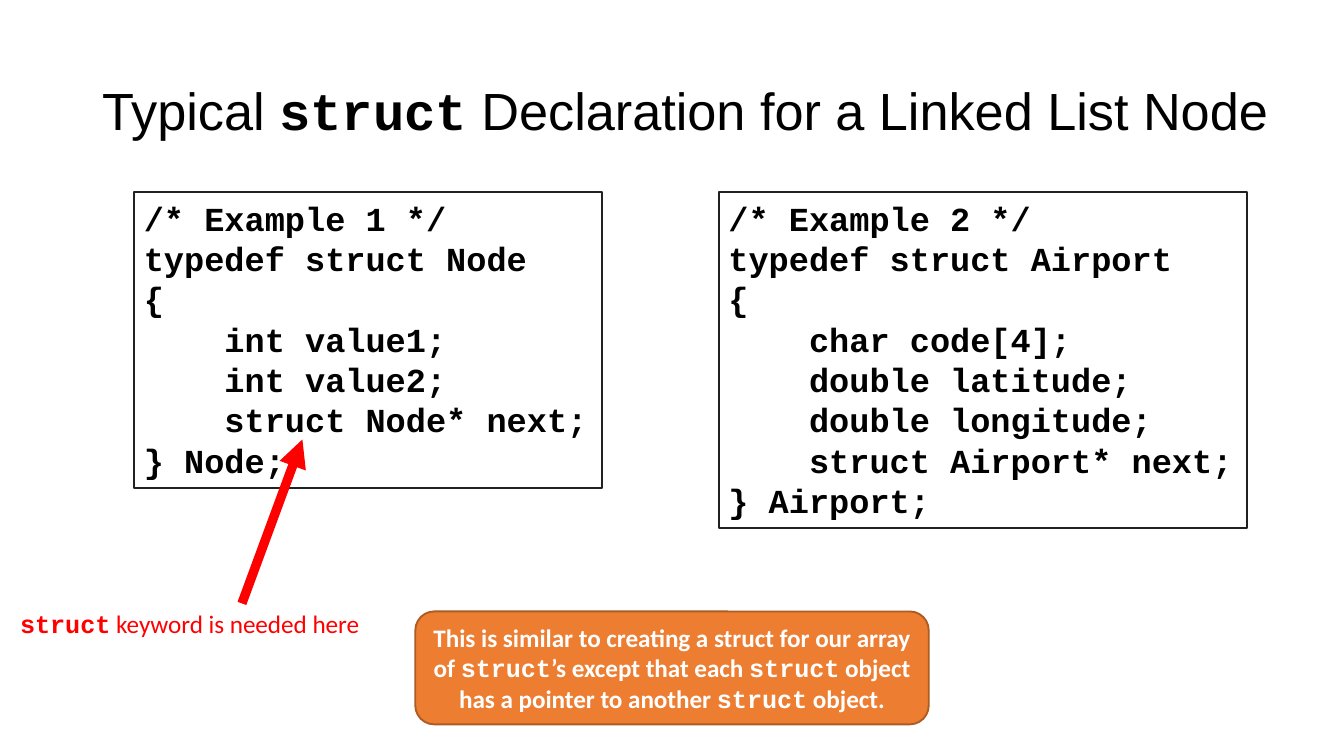
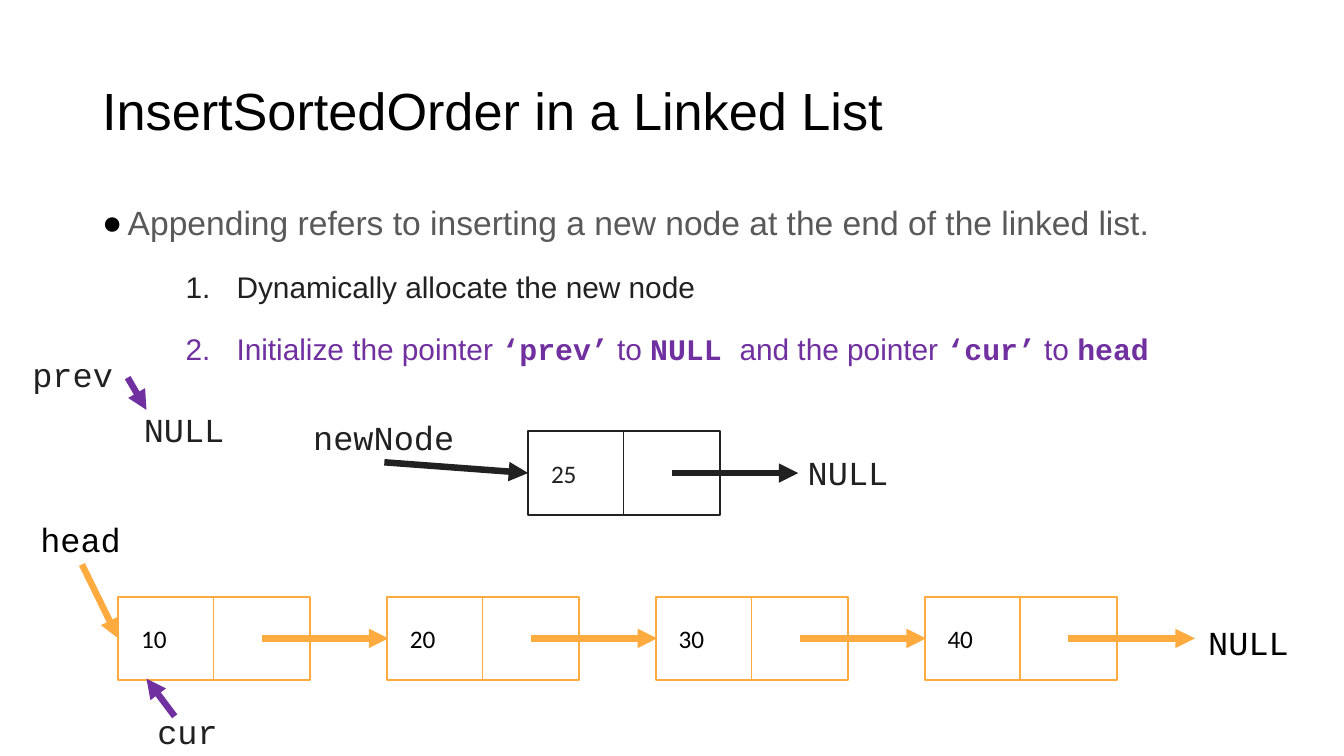
"""Build two slides on linked list nodes: struct declarations and sorted insertion."""
from lxml import etree
from pptx import Presentation
from pptx import util as u
from pptx.dml.color import RGBColor
from pptx.enum import shapes, text
from pptx.oxml import ns

PX = 9144
PAGE_W = 1000
SANS, BODY, MONO = "Arial", "Calibri", "Courier New"
BLACK = RGBColor(0, 0, 0)
WHITE = RGBColor(255, 255, 255)
INK = RGBColor(0x21, 0x21, 0x21)
GREY = RGBColor(0x59, 0x59, 0x59)
RED = RGBColor(255, 0, 0)
PURPLE = RGBColor(0x70, 0x30, 0xA0)
AMBER = RGBColor(0xFF, 0xAB, 0x40)
ORANGE = RGBColor(0xED, 0x7D, 0x31)
RUST = RGBColor(0xAC, 0x5B, 0x23)

STRUCT_TITLE = "Typical `struct` Declaration for a Linked List Node"
EXAMPLES = [
    ((535, 143, 393, 250), [
        "/* Example 2 */",
        "typedef struct Airport",
        "{",
        "    char code[4];",
        "    double latitude;",
        "    double longitude;",
        "    struct Airport* next;",
        "} Airport;",
    ]),
    ((100, 143, 348, 220), [
        "/* Example 1 */",
        "typedef struct Node",
        "{",
        "    int value1;",
        "    int value2;",
        "    struct Node* next;",
        "} Node;",
    ]),
]
KEYWORD_NOTE = "`struct` keyword is needed here"
SIMILAR_NOTE = ("This is similar to creating a struct for our array of `struct`’s except that "
                "each `struct` object has a pointer to another `struct` object.")

INSERT_TITLE = "InsertSortedOrder in a Linked List"
INTRO = "Appending refers to inserting a new node at the end of the linked list."
STEPS = [
    ("Dynamically allocate the new node", INK),
    ("Initialize the pointer `‘prev’` to `NULL `and the pointer `‘cur’` to `head`", PURPLE),
]
LIST_VALUES = [10, 20, 30, 40]
LIST_LEFT, LIST_TOP, LIST_STEP = 88, 444, 200
NODE_W, NODE_H = 143, 62
LINK_START, LINK_LENGTH = 107, 94
LABELS = [
    ("NULL", 892, 459, 76, BLACK),
    ("head", 23, 382, 76, BLACK),
    ("prev", 17, 259, 121, INK),
    ("newNode", 226, 306, 121, INK),
    ("NULL", 594, 332, 76, INK),
    ("NULL", 100, 300, 76, INK),
    ("cur", 110, 525, 121, INK),
]
POINTERS = [
    ((61, 420), (88, 475), AMBER),
    ((95, 281), (109, 305), PURPLE),
    ((286, 344), (393, 352), INK),
    ((130, 533), (109, 505), PURPLE),
]


def scaled(lengths):
    return [u.Emu(length * PX) for length in lengths]


def apply(target, formats):
    for name, value in formats.items():
        setattr(target, name, value)


def set_frame(shape, anchor=text.MSO_ANCHOR.TOP):
    side, edge = scaled((7, 4))
    apply(shape.text_frame, dict(word_wrap=True, vertical_anchor=anchor, margin_left=side,
                                 margin_right=side, margin_top=edge, margin_bottom=edge))


def add_spans(para, wording, size, color, font=SANS, bold=False):
    """Add runs, with the parts between backticks in bold code type."""
    for index, part in enumerate(wording.split("`")):
        if part:
            span = para.add_run()
            span.text = part
            is_code = index % 2 == 1
            apply(span.font, dict(size=u.Pt(size), bold=bold or is_code,
                                  name=MONO if is_code else font))
            span.font.color.rgb = color


def add_text(page, area, wording, size, color, font=SANS, anchor=text.MSO_ANCHOR.TOP):
    box = page.shapes.add_textbox(*scaled(area))
    set_frame(box, anchor)
    para = box.text_frame.paragraphs[0]
    add_spans(para, wording, size, color, font)
    return para


def add_panel(page, area, fill, edge, preset=shapes.MSO_SHAPE.RECTANGLE):
    panel = page.shapes.add_shape(preset, *scaled(area))
    panel.shadow.inherit = False
    panel.fill.solid()
    panel.fill.fore_color.rgb = fill
    panel.line.color.rgb = edge
    panel.line.width = u.Pt(1)
    set_frame(panel)
    return panel


def add_line(page, start, end, color, width, arrow=True):
    line = page.shapes.add_connector(shapes.MSO_CONNECTOR.STRAIGHT, *scaled(start + end))
    line.line.color.rgb = color
    line.line.width = u.Pt(width)
    if arrow:
        etree.SubElement(line.line._get_or_add_ln(), ns.qn("a:tailEnd"), type="triangle")
    etree.SubElement(line._element.spPr, ns.qn("a:effectLst"))


def add_title(page, wording):
    para = add_text(page, (69, 30, 889, 109), wording, 28, BLACK,
                    anchor=text.MSO_ANCHOR.MIDDLE)
    para.line_spacing = 0.9


def set_bullet(para, left, hang, color, kind, **values):
    props = para._p.get_or_add_pPr()
    props.set("marL", str(left * PX))
    props.set("indent", str(-hang * PX))
    tint = etree.SubElement(props, ns.qn("a:buClr"))
    etree.SubElement(tint, ns.qn("a:srgbClr"), val=str(color))
    etree.SubElement(props, ns.qn("a:buFont"), typeface=SANS)
    etree.SubElement(props, ns.qn(kind), **values)
    para.line_spacing = 0.9


def add_node(page, left, top, value, edge, ink):
    add_panel(page, (left, top, NODE_W, NODE_H), WHITE, edge)
    middle = left + NODE_W // 2
    add_line(page, (middle, top), (middle, top + NODE_H), edge, 0.75, arrow=False)
    add_text(page, (left + 10, top + 16, 51, 30), str(value), 13.5, ink, BODY)
    start, level = left + LINK_START, top + NODE_H // 2
    add_line(page, (start, level), (start + LINK_LENGTH, level), edge, 3.5)


def build_struct_page(page):
    add_title(page, STRUCT_TITLE)
    for area, code in EXAMPLES:
        frame = add_panel(page, area, WHITE, INK).text_frame
        for index, row in enumerate(code):
            para = frame.add_paragraph() if index else frame.paragraphs[0]
            para.alignment = text.PP_ALIGN.LEFT
            add_spans(para, row, 18, BLACK, MONO, bold=True)
    add_line(page, (180, 449), (225, 327), RED, 5)
    add_text(page, (8, 449, 271, 30), KEYWORD_NOTE, 13.5, RED, BODY)
    note = add_panel(page, (309, 455, 382, 84), ORANGE, RUST,
                     shapes.MSO_SHAPE.ROUNDED_RECTANGLE)
    note.text_frame.vertical_anchor = text.MSO_ANCHOR.MIDDLE
    para = note.text_frame.paragraphs[0]
    para.alignment = text.PP_ALIGN.CENTER
    add_spans(para, SIMILAR_NOTE, 13.5, WHITE, BODY, bold=True)


def build_insert_page(page):
    add_title(page, INSERT_TITLE)
    body = page.shapes.add_textbox(*scaled((69, 150, 862, 357)))
    set_frame(body)
    intro = body.text_frame.paragraphs[0]
    set_bullet(intro, 19, 19, BLACK, "a:buChar", char="●")
    add_spans(intro, INTRO, 18, GREY)
    for wording, color in STEPS:
        para = body.text_frame.add_paragraph()
        set_bullet(para, 100, 38, color, "a:buAutoNum", type="arabicPeriod")
        apply(para, dict(level=1, space_before=u.Pt(16)))
        add_spans(para, wording, 16, color)
    for index, value in enumerate(LIST_VALUES):
        add_node(page, LIST_LEFT + index * LIST_STEP, LIST_TOP, value, AMBER, BLACK)
    add_node(page, 393, 321, 25, INK, INK)
    for wording, left, top, width, color in LABELS:
        add_text(page, (left, top, width, 38), wording, 18, color, MONO)
    for start, end, color in POINTERS:
        add_line(page, start, end, color, 3.5)


def main():
    deck = Presentation()
    deck.slide_width = u.Emu(PAGE_W * PX)
    deck.slide_height = u.Emu(PAGE_W * PX * 9 // 16)
    for build in (build_struct_page, build_insert_page):
        build(deck.slides.add_slide(deck.slide_layouts[6]))
    deck.save("out.pptx")


if __name__ == "__main__":
    main()
